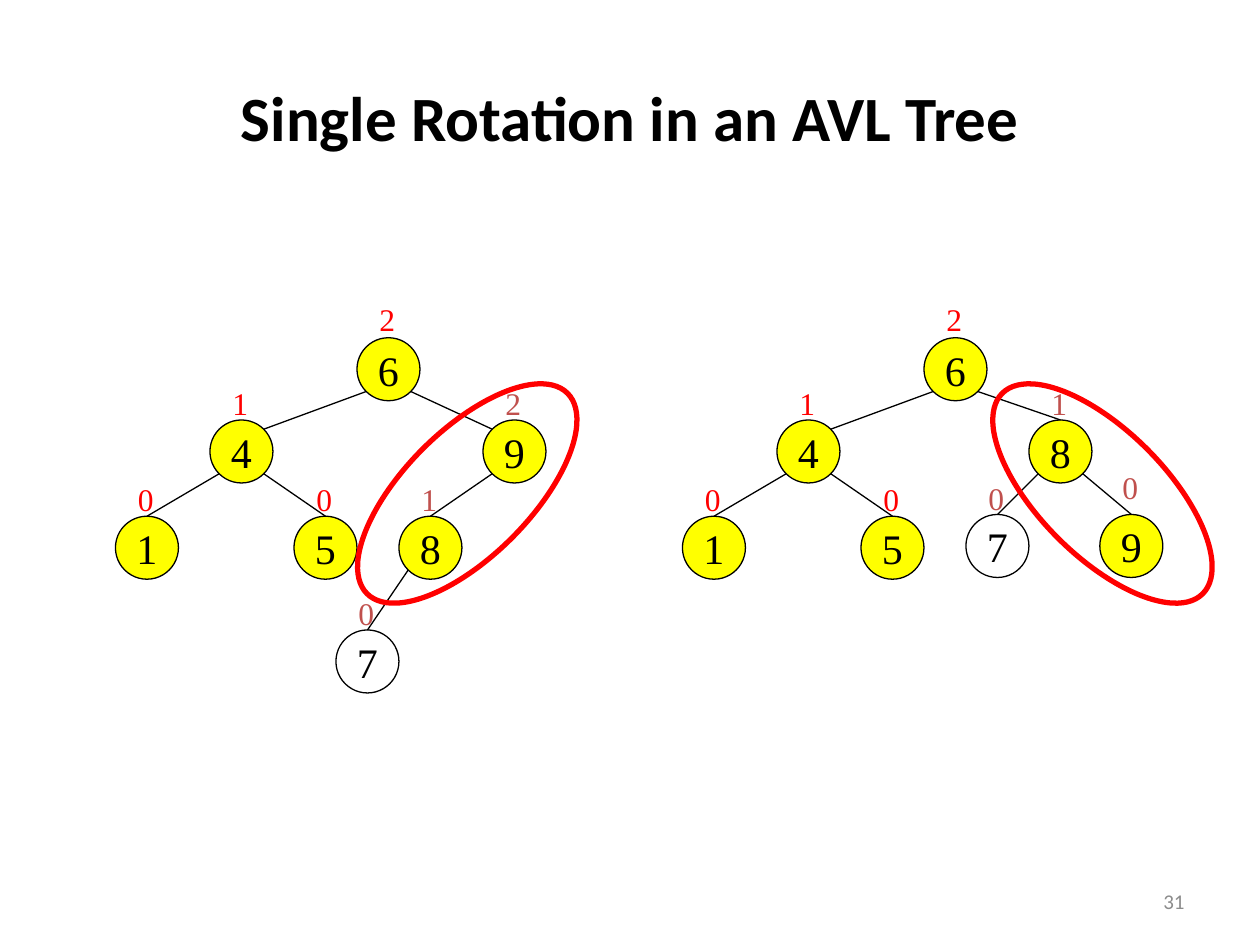
from dataclasses import dataclass
from math import sqrt

from pptx import Presentation
from pptx.dml.color import RGBColor
from pptx.enum.shapes import MSO_CONNECTOR as Connector, MSO_SHAPE as Shape
from pptx.enum.text import MSO_ANCHOR as Anchor, MSO_AUTO_SIZE as AutoSize, PP_ALIGN as Align
from pptx.oxml.ns import qn
from pptx.util import Pt
from lxml.etree import SubElement

BLACK, RED, BRICK, YELLOW, GRAY = "000000", "FF0000", "C0504D", "FFFF00", "8C8C8C"


def color(value):
    return RGBColor.from_string(value)


@dataclass
class Node:
    value: str
    center: float
    top: float
    height: str
    parent: str = ""
    height_color: str = RED
    fill: str = YELLOW
    at_corner: bool = False
    height_gap: float = 24


class TreeSlide:
    """Draws binary trees and their captions on one slide."""

    heading_font = "Calibri"
    tree_font = "Times New Roman"
    diameter = 36
    corner = diameter / 2 / sqrt(2)
    height_box = (24.5, 31)

    def __init__(self, slide):
        self.slide = slide

    def format(self, text_frame, text, font, size, ink, align, bold=False):
        text_frame.text = text
        paragraph = text_frame.paragraphs[0]
        paragraph.alignment = align
        for run in paragraph.runs:
            run.font.name = font
            run.font.size = Pt(size)
            run.font.bold = bold
            run.font.color.rgb = color(ink)

    def text(self, box, text, font, size, ink, align, bold=False, wrap=True):
        shape = self.slide.shapes.add_textbox(*map(Pt, box))
        text_frame = shape.text_frame
        text_frame.word_wrap = wrap
        text_frame.auto_size = AutoSize.NONE if wrap else AutoSize.SHAPE_TO_FIT_TEXT
        text_frame.vertical_anchor = Anchor.MIDDLE if wrap else Anchor.TOP
        self.format(text_frame, text, font, size, ink, align, bold)

    def ellipse(self, box, line, width, fill="", rotation=0):
        shape = self.slide.shapes.add_shape(Shape.OVAL, *map(Pt, box))
        shape.shadow.inherit = False
        shape.rotation = rotation
        shape.line.color.rgb = color(line)
        shape.line.width = Pt(width)
        if fill:
            shape.fill.solid()
            shape.fill.fore_color.rgb = color(fill)
        else:
            shape.fill.background()
        return shape

    def edge(self, parent, child):
        side = 1 if child.center > parent.center else -1
        middle = self.diameter / 2
        start = (parent.center + side * self.corner, parent.top + middle + self.corner)
        end = (child.center, child.top)
        if child.at_corner:
            end = (child.center - side * self.corner, child.top + middle - self.corner)
        line = self.slide.shapes.add_connector(Connector.STRAIGHT, *map(Pt, start + end))
        line.line.color.rgb = color(BLACK)
        line.line.width = Pt(0.75)
        SubElement(line._element.spPr, qn("a:effectLst"))

    def node(self, node):
        left = node.center - self.diameter / 2
        shape = self.ellipse((left, node.top, self.diameter, self.diameter), BLACK, 0.75, node.fill)
        shape.text_frame.word_wrap = False
        shape.text_frame.vertical_anchor = Anchor.MIDDLE
        self.format(shape.text_frame, node.value, self.tree_font, 24, BLACK, Align.CENTER)

    def height(self, node):
        width, height = self.height_box
        box = (node.center - width / 2, node.top - node.height_gap, width, height)
        self.text(box, node.height, self.tree_font, 18, node.height_color, Align.LEFT, wrap=False)

    def tree(self, nodes):
        by_value = {node.value: node for node in nodes}
        for node in nodes:
            self.height(node)
        for node in nodes:
            self.node(node)
            if node.parent:
                self.edge(by_value[node.parent], node)

    def highlight(self, left, rotation):
        self.ellipse((left, 246, 162, 72), RED, 3, rotation=rotation)


def shared_nodes(offset):
    return [
        Node("6", offset + 222, 193, "2", height_gap=25),
        Node("4", offset + 138, 240, "1", "6", at_corner=True),
        Node("1", offset + 84, 295, "0", "4"),
        Node("5", offset + 186, 295, "0", "4"),
    ]


before = shared_nodes(0) + [
    Node("9", 294, 240, "2", "6", BRICK, at_corner=True),
    Node("8", 246, 295, "1", "9", BRICK),
    Node("7", 210, 360, "0", "8", BRICK, fill=""),
]
after = shared_nodes(324) + [
    Node("8", 606, 240, "1", "6", BRICK),
    Node("7", 570, 294, "0", "8", BRICK, fill=""),
    Node("9", 646.5, 294, "0", "8", BRICK, height_gap=30),
]

presentation = Presentation()
presentation.slide_width, presentation.slide_height = Pt(720), Pt(540)
page = TreeSlide(presentation.slides.add_slide(presentation.slide_layouts[6]))
page.text((36, 21.6, 648, 90), "Single Rotation in an AVL Tree",
          page.heading_font, 36, BLACK, Align.CENTER, bold=True)
page.tree(before)
page.tree(after)
page.highlight(186, 315)
page.highlight(549, 45)
page.text((516, 500.5, 168, 28.75), "31", page.heading_font, 12, GRAY, Align.RIGHT)
presentation.save("out.pptx")
